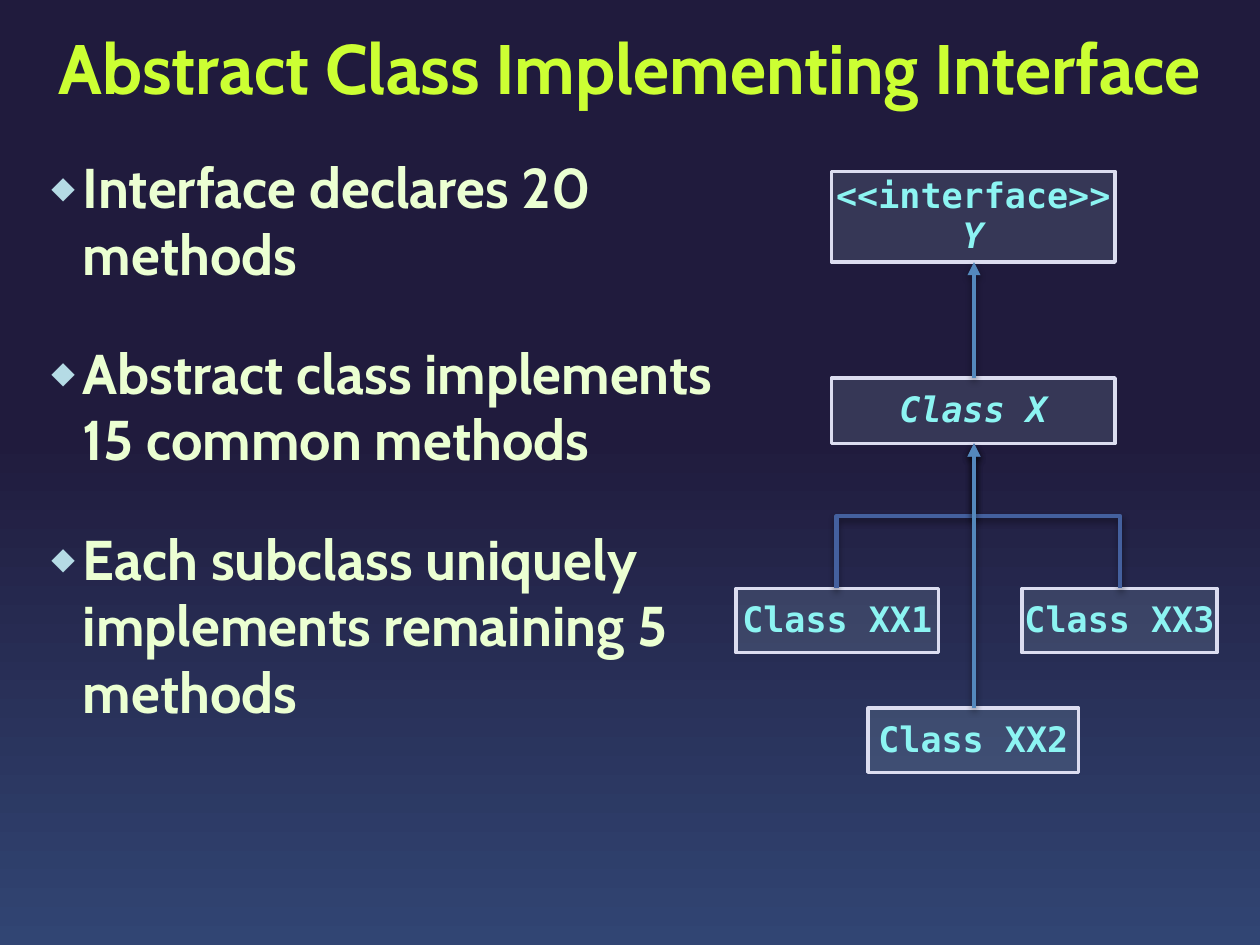
import dataclasses
import typing

import lxml.etree
import pptx
import pptx.dml.color
import pptx.enum.shapes
import pptx.enum.text
import pptx.oxml.ns
import pptx.util

Inches = pptx.util.Inches
Pt = pptx.util.Pt
Align = pptx.enum.text.PP_ALIGN
Anchor = pptx.enum.text.MSO_ANCHOR
Link = pptx.enum.shapes.MSO_CONNECTOR


@dataclasses.dataclass(frozen=True)
class Theme:
    low: str = "314573"
    high: str = "201B3D"
    title: str = "CCFF33"
    body: str = "EBFFD2"
    pale: str = "B5DBE5"
    edge: str = "DCDDF0"
    code: str = "8CF4F2"
    branch: str = "44609E"
    arrow: str = "5488BC"
    sans: str = "Cabin"
    mono: str = "DejaVu Sans Mono"
    title_size: int = 40
    body_size: int = 32
    code_size: int = 20


@dataclasses.dataclass(frozen=True)
class Label:
    text: str
    slant: bool = False


@dataclasses.dataclass(frozen=True)
class Box:
    left: float
    top: float
    width: float
    height: float
    labels: tuple[Label, ...]


@dataclasses.dataclass(frozen=True)
class Wire:
    start: tuple[float, float]
    end: tuple[float, float]
    color: str


THEME = Theme()
AXIS = 7.73
X_BASE = 3.52
ROW = 4.67

BOXES = (
    Box(6.6, 3, 2.25, 0.52, (Label("Class X", True),)),
    Box(6.89, 5.62, 1.67, 0.51, (Label("Class XX2"),)),
    Box(5.84, ROW, 1.61, 0.51, (Label("Class XX1"),)),
    Box(8.11, ROW, 1.55, 0.51, (Label("Class XX3"),)),
    Box(6.6, 1.36, 2.25, 0.72, (Label("<<interface>>"), Label("Y", True))),
)
WIRES = (
    Wire((6.64, ROW), (AXIS, X_BASE), THEME.branch),
    Wire((8.89, ROW), (AXIS, X_BASE), THEME.branch),
    Wire((AXIS, 5.62), (AXIS, X_BASE), THEME.arrow),
    Wire((AXIS, 3), (AXIS, 2.08), THEME.arrow),
)
POINTS = (
    "Interface declares 20 methods",
    "Abstract class implements 15 common methods",
    "Each subclass uniquely implements remaining 5 methods",
)


def tint(code: str) -> pptx.dml.color.RGBColor:
    return pptx.dml.color.RGBColor.from_string(code)


def add_node(host: typing.Any, tag: str, **attrs: str) -> typing.Any:
    return lxml.etree.SubElement(host, pptx.oxml.ns.qn(tag), attrs)


def add_run(para: typing.Any, text: str, face: str, size: int, color: str,
            slant: bool = False) -> None:
    run = para.add_run()
    run.text = text
    run.font.name = face
    run.font.size = Pt(size)
    run.font.bold = True
    if slant:
        run.font.italic = True
    run.font.color.rgb = tint(color)


def get_para(frame: typing.Any, index: int) -> typing.Any:
    return frame.add_paragraph() if index else frame.paragraphs[0]


def paint_back(slide: typing.Any) -> None:
    fill = slide.background.fill
    fill.gradient()
    fill.gradient_angle = 90
    for stop, color, place in zip(fill.gradient_stops, (THEME.low, THEME.high), (0, 0.54)):
        stop.color.rgb = tint(color)
        stop.position = place


def draw_title(slide: typing.Any) -> None:
    frame = slide.shapes.add_textbox(Inches(0.25), Inches(0.08), Inches(9.5), Inches(1)).text_frame
    frame.word_wrap = True
    frame.vertical_anchor = Anchor.MIDDLE
    para = frame.paragraphs[0]
    para.alignment = Align.CENTER
    para.line_spacing = Pt(40)
    add_run(para, "Abstract Class Implementing Interface", THEME.sans, THEME.title_size, THEME.title)


def draw_points(slide: typing.Any) -> None:
    frame = slide.shapes.add_textbox(Inches(0.25), Inches(1.17), Inches(5.92), Inches(6.17)).text_frame
    frame.word_wrap = True
    for index, text in enumerate(POINTS):
        para = get_para(frame, index)
        para.line_spacing = Pt(38)
        para.space_before = Pt(24)
        para.space_after = Pt(6)
        props = para._p.get_or_add_pPr()
        props.set("marL", str(Inches(0.31)))
        props.set("indent", str(-Inches(0.25)))
        add_node(add_node(props, "a:buClr"), "a:srgbClr", val=THEME.pale)
        add_node(props, "a:buSzPct", val="70000")
        add_node(props, "a:buFont", typeface=THEME.mono)
        add_node(props, "a:buChar", char="◆")
        add_run(para, text, THEME.sans, THEME.body_size, THEME.body)


def draw_box(slide: typing.Any, box: Box) -> None:
    shape = slide.shapes.add_shape(
        pptx.enum.shapes.MSO_SHAPE.RECTANGLE,
        Inches(box.left), Inches(box.top), Inches(box.width), Inches(box.height))
    shape.shadow.inherit = False
    shape.fill.solid()
    shape.fill.fore_color.rgb = tint(THEME.pale)
    color = shape.element.spPr.find(pptx.oxml.ns.qn("a:solidFill"))[0]
    add_node(color, "a:alpha", val="15000")
    shape.line.color.rgb = tint(THEME.edge)
    shape.line.width = Pt(2)
    frame = shape.text_frame
    frame.word_wrap = False
    frame.margin_left = frame.margin_right = Inches(0)
    frame.vertical_anchor = Anchor.MIDDLE
    for index, label in enumerate(box.labels):
        para = get_para(frame, index)
        para.alignment = Align.CENTER
        para.line_spacing = 0.95
        add_run(para, label.text, THEME.mono, THEME.code_size, THEME.code, label.slant)


def draw_wire(slide: typing.Any, wire: Wire) -> None:
    (x1, y1), (x2, y2) = wire.start, wire.end
    kind = Link.STRAIGHT
    bent = x1 != x2
    if bent:
        kind = Link.ELBOW
        mid_x, mid_y = (x1 + x2) / 2, (y1 + y2) / 2
        half_w, half_h = (y1 - y2) / 2, (x2 - x1) / 2
        x1, x2 = mid_x - half_w, mid_x + half_w
        y1, y2 = mid_y - half_h, mid_y + half_h
    line = slide.shapes.add_connector(kind, Inches(x1), Inches(y1), Inches(x2), Inches(y2))
    line.line.color.rgb = tint(wire.color)
    line.line.width = Pt(2.5)
    props = line.element.spPr
    if bent:
        props.find(pptx.oxml.ns.qn("a:xfrm")).set("rot", str(270 * 60000))
    add_node(props.find(pptx.oxml.ns.qn("a:ln")), "a:tailEnd", type="triangle")
    shade = add_node(add_node(props, "a:effectLst"), "a:outerShdw", blurRad=str(Pt(4)),
                     dist=str(Pt(2)), dir=str(90 * 60000), rotWithShape="0")
    add_node(add_node(shade, "a:srgbClr", val="000000"), "a:alpha", val="43000")


def main() -> None:
    deck = pptx.Presentation()
    deck.slide_width = Inches(10)
    deck.slide_height = Inches(7.5)
    slide = deck.slides.add_slide(deck.slide_layouts[6])
    paint_back(slide)
    draw_title(slide)
    draw_points(slide)
    for box in BOXES:
        draw_box(slide, box)
    for wire in WIRES:
        draw_wire(slide, wire)
    deck.save("out.pptx")


if __name__ == "__main__":
    main()
